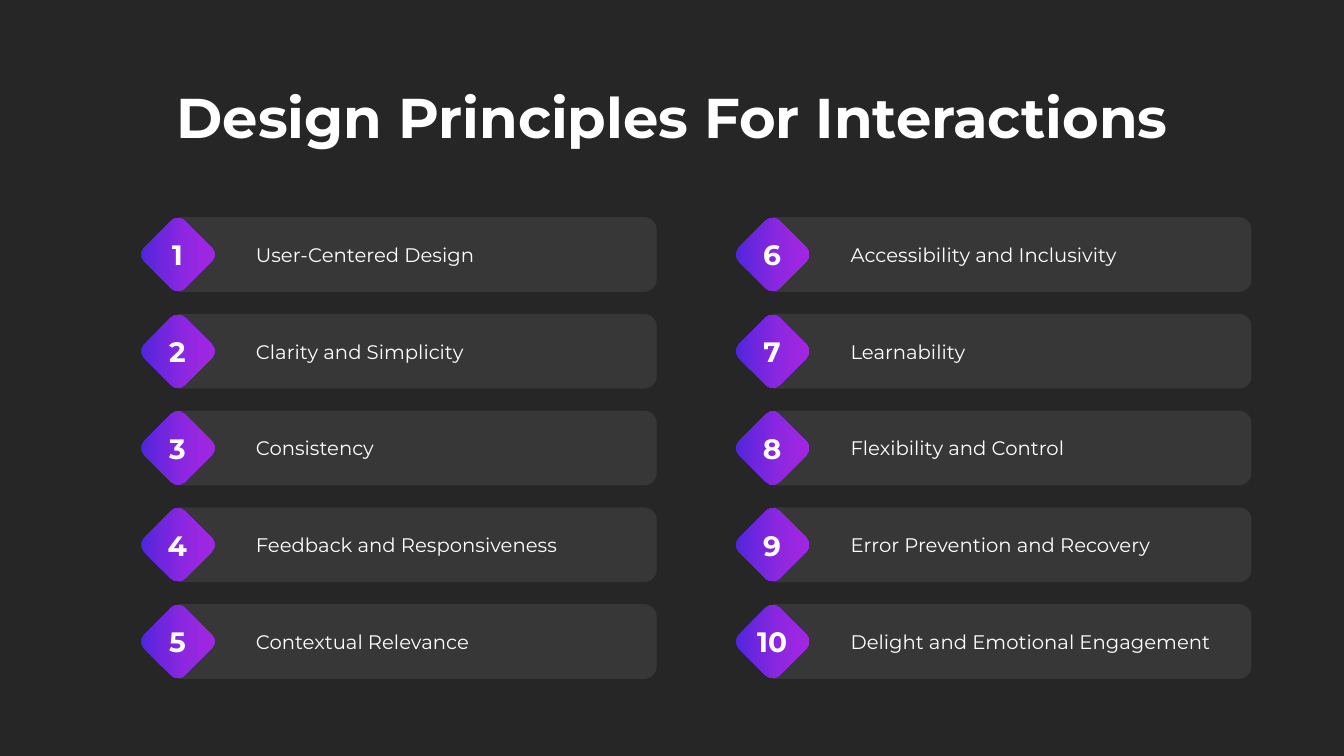
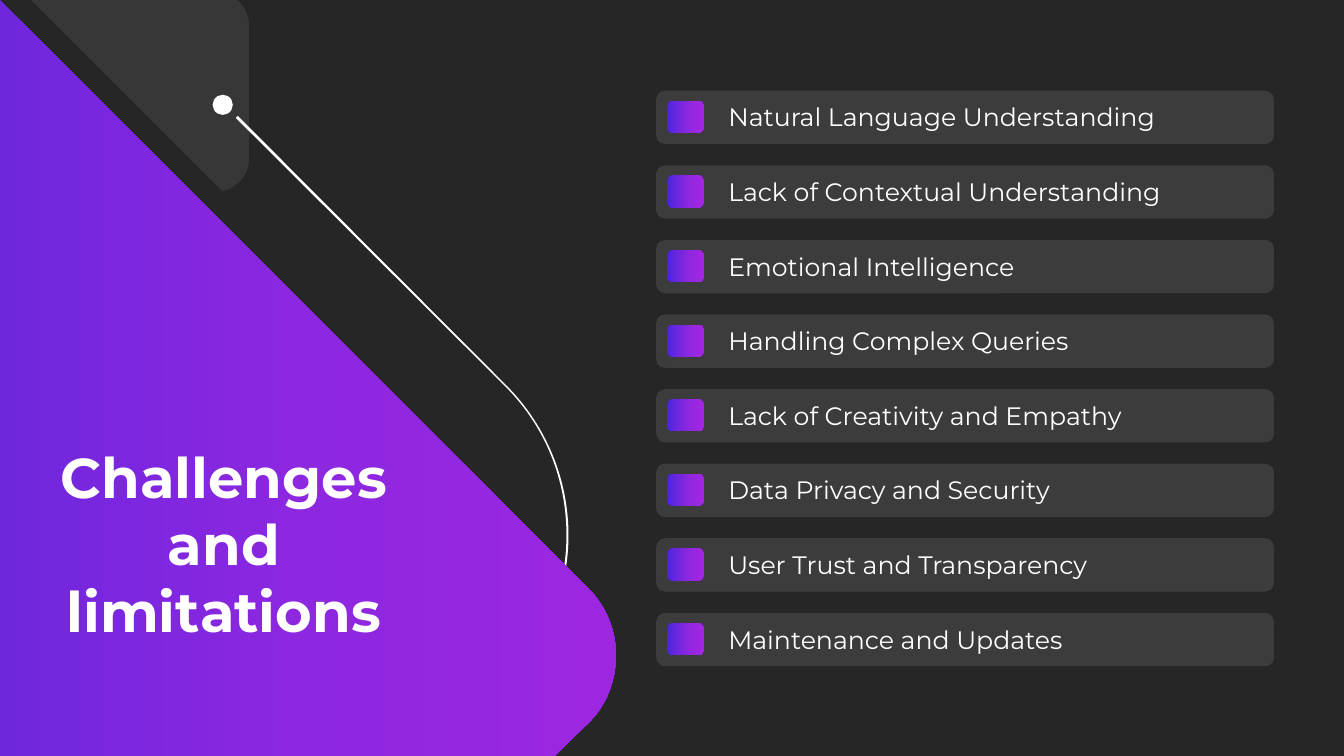
"""Build two dark slides: interaction design principles and their challenges."""
from lxml import etree
from pptx import Presentation
from pptx.dml.color import RGBColor
from pptx.enum.shapes import MSO_SHAPE
from pptx.enum.text import MSO_ANCHOR, PP_ALIGN
from pptx.oxml.ns import qn
from pptx.util import Inches, Pt

COLORS = {
    "back": "262626", "white": "FFFFFF", "indigo": "4826DC", "violet": "7226DE",
    "purple": "8D27E0", "orchid": "9D27E1", "magenta": "A327E1", "iris": "6F27DE",
}
BADGE = [(0, "indigo"), (32, "violet"), (58, "purple"), (82, "orchid"), (100, "magenta")]
WEDGE = [(0, "iris"), (50, "purple"), (100, "orchid")]
WHITE = [(0, "white")]
TITLE = {"size": Pt(40), "bold": True}
NUMBER = {"size": Pt(20), "bold": True}
LABEL = {"size": Pt(14), "bold": False}
ITEM = {"size": Pt(18), "bold": False}


def paint(sp, stops, angle=0, alpha=100):
    sp.shadow.inherit = False
    sp.line.fill.background()
    if len(stops) > 1:
        sp.fill.gradient()
        sp.fill.gradient_angle = angle
        holder = sp._element.spPr.find(".//" + qn("a:gsLst"))
        for old in list(holder):
            holder.remove(old)
        for pos, name in stops:
            stop = etree.SubElement(holder, qn("a:gs"), pos=str(pos * 1000))
            etree.SubElement(stop, qn("a:srgbClr"), val=COLORS[name])
    else:
        sp.fill.solid()
        sp.fill.fore_color.rgb = RGBColor.from_string(COLORS[stops[0][1]])
        if alpha < 100:
            color = sp._element.spPr.find(".//" + qn("a:srgbClr"))
            etree.SubElement(color, qn("a:alpha"), val=str(alpha * 1000))


def write(sp, text, fmt, align=PP_ALIGN.LEFT):
    tf = sp.text_frame
    tf.word_wrap = True
    p = tf.paragraphs[0]
    p.alignment = align
    r = p.add_run()
    r.text = text
    r.font.name = "Montserrat"
    r.font.color.rgb = RGBColor.from_string(COLORS["white"])
    for key, value in fmt.items():
        setattr(r.font, key, value)


prs = Presentation()
prs.slide_width, prs.slide_height = Inches(40 / 3), Inches(7.5)
titles = [
    ("Design Principles For Interactions", (0.01, 0.77, 13.32, 0.77)),
    ("Challenges and limitations", (0.23, 4.34, 3.98, 2.12)),
]
principles = [
    "User-Centered Design", "Clarity and Simplicity", "Consistency",
    "Feedback and Responsiveness", "Contextual Relevance",
    "Accessibility and Inclusivity", "Learnability", "Flexibility and Control",
    "Error Prevention and Recovery", "Delight and Emotional Engagement",
]
challenges = [
    "Natural Language Understanding", "Lack of Contextual Understanding",
    "Emotional Intelligence", "Handling Complex Queries",
    "Lack of Creativity and Empathy", "Data Privacy and Security",
    "User Trust and Transparency", "Maintenance and Updates",
]
slides = []
for text, box in titles:
    s = prs.slides.add_slide(prs.slide_layouts[6])
    s.background.fill.solid()
    s.background.fill.fore_color.rgb = RGBColor.from_string(COLORS["back"])
    slides.append(s)

s = slides[0]
for i, text in enumerate(principles):
    col, row = divmod(i, 5)
    x, y = 1.77 + 5.9 * col, 2.53 + 0.96 * row
    bar = s.shapes.add_shape(MSO_SHAPE.ROUND_2_SAME_RECTANGLE, Inches(x + 2),
                             Inches(y - 2.38), Inches(0.74), Inches(4.75))
    bar.rotation = 90
    paint(bar, WHITE, alpha=8)
    diamond = s.shapes.add_shape(MSO_SHAPE.ROUNDED_RECTANGLE, Inches(x - 0.29),
                                 Inches(y - 0.29), Inches(0.57), Inches(0.57))
    diamond.rotation = 45
    paint(diamond, BADGE, angle=45)
    label = s.shapes.add_textbox(Inches(x + 0.67), Inches(y - 0.17), Inches(3.8), Inches(0.34))
    write(label, text, LABEL)
    number = s.shapes.add_textbox(Inches(x - 0.27), Inches(y - 0.22), Inches(0.52), Inches(0.44))
    write(number, str(i + 1), NUMBER, PP_ALIGN.CENTER)

s = slides[1]
dot = s.shapes.add_shape(MSO_SHAPE.OVAL, Inches(2.11), Inches(0.94), Inches(0.2), Inches(0.2))
paint(dot, WHITE)
outlines = [
    (WHITE, 100, [(2.36, 1.15), (2.34, 1.17), (5.01, 3.83),
                  (5.42, 4.24, 5.62, 4.77, 5.62, 5.31), (5.62, 5.84, 5.42, 6.37, 5.01, 6.78),
                  (4.49, 7.3), (4.52, 7.3), (5.02, 6.8),
                  (5.43, 6.39, 5.64, 5.85, 5.64, 5.31), (5.64, 4.77, 5.43, 4.23, 5.02, 3.82)]),
    (WEDGE, 100, [(0, 0), (0, 7.5), (5.5, 7.5), (5.83, 7.18),
                  (6.02, 7, 6.11, 6.75, 6.11, 6.5), (6.11, 6.26, 6.02, 6.02, 5.83, 5.83)]),
    (WHITE, 8, [(0.23, -0.08), (2.21, 1.9), (2.26, 1.88), (2.38, 1.83, 2.47, 1.72, 2.47, 1.58),
                (2.47, 0.25), (2.47, 0.07, 2.32, -0.08, 2.14, -0.08)]),
]
for stops, alpha, steps in outlines:
    points = [(Inches(step[k]), Inches(step[k + 1]))
              for step in steps for k in range(0, len(step), 2)]
    builder = s.shapes.build_freeform(*points[0])
    builder.add_line_segments(points[1:], close=True)
    sp = builder.convert_to_shape()
    lines = iter(sp._element.spPr.findall(".//" + qn("a:lnTo")))
    for step in steps[1:]:
        line = next(lines)
        if len(step) == 6:
            line.tag = qn("a:cubicBezTo")
            for extra in (next(lines), next(lines)):
                line.append(extra[0])
                extra.getparent().remove(extra)
    paint(sp, stops, alpha=alpha)

for i, text in enumerate(challenges):
    y = 0.9 + 0.74 * i
    bar = s.shapes.add_shape(MSO_SHAPE.ROUNDED_RECTANGLE, Inches(6.51), Inches(y),
                             Inches(6.13), Inches(0.53))
    paint(bar, WHITE, alpha=10)
    bar.text_frame.margin_left = Inches(0.69)
    bar.text_frame.margin_bottom = Inches(0.06)
    bar.text_frame.vertical_anchor = MSO_ANCHOR.MIDDLE
    write(bar, text, ITEM)
    marker = s.shapes.add_shape(MSO_SHAPE.ROUNDED_RECTANGLE, Inches(6.62), Inches(y + 0.1),
                                Inches(0.36), Inches(0.32))
    paint(marker, BADGE)

for s, (text, box) in zip(slides, titles):
    title = s.shapes.add_textbox(*[Inches(v) for v in box])
    write(title, text, TITLE, PP_ALIGN.CENTER)

prs.save("out.pptx")
